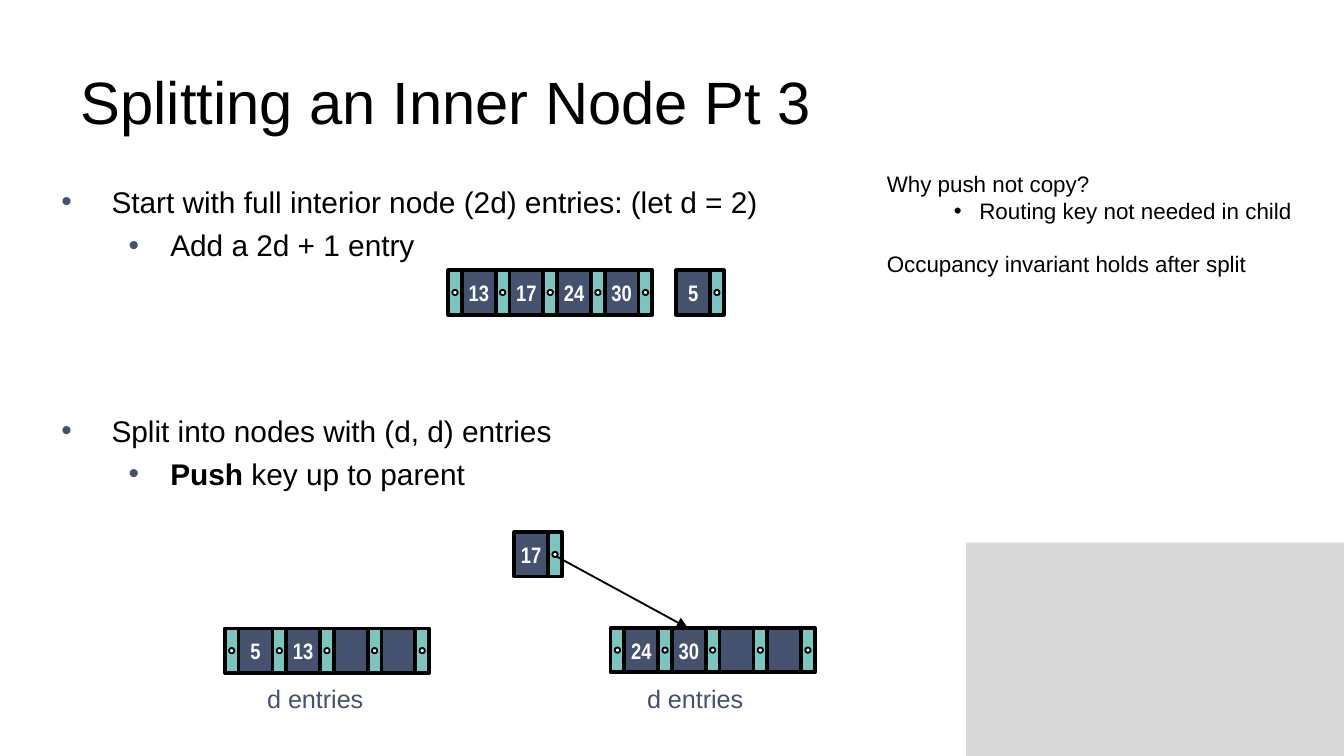
from lxml import etree
from pptx import Presentation
from pptx.dml.color import RGBColor
from pptx.enum.shapes import MSO_CONNECTOR, MSO_SHAPE
from pptx.enum.text import MSO_ANCHOR, PP_ALIGN
from pptx.oxml.ns import qn
from pptx.util import Cm, Pt

RECTANGLE, OVAL = MSO_SHAPE.RECTANGLE, MSO_SHAPE.OVAL
STRAIGHT = MSO_CONNECTOR.STRAIGHT
MIDDLE, TOP = MSO_ANCHOR.MIDDLE, MSO_ANCHOR.TOP
LEFT, CENTER = PP_ALIGN.LEFT, PP_ALIGN.CENTER

KEY_WIDTH, POINTER_WIDTH, NODE_HEIGHT, DOT = 0.64, 0.26, 0.84, 0.1


def color(hex_value):
    return RGBColor.from_string(hex_value)


def write(paragraph, text, size=16, font="Arial", fill="000000", bold=False):
    run = paragraph.add_run()
    run.text = text
    run.font.size = Pt(size)
    run.font.name = font
    run.font.bold = bold
    run.font.color.rgb = color(fill)


def add_bullet(paragraph, margin, hanging, fill):
    """Give a paragraph a bullet with a hanging indent, in cm."""
    properties = paragraph._p.get_or_add_pPr()
    properties.set("marL", str(Cm(margin)))
    properties.set("indent", str(-Cm(hanging)))
    bullet_color = etree.SubElement(properties, qn("a:buClr"))
    etree.SubElement(bullet_color, qn("a:srgbClr"), val=fill)
    etree.SubElement(properties, qn("a:buFont"), typeface="Arial")
    etree.SubElement(properties, qn("a:buChar"), char="•")


class SlideBuilder:
    navy, teal, black, white, gray = "44516F", "79C6C1", "000000", "FFFFFF", "D9D9D9"

    def __init__(self, slide):
        self.slide = slide

    def title(self, text, left, top, width, height):
        title = self.slide.shapes.title
        title.left, title.top = Cm(left), Cm(top)
        title.width, title.height = Cm(width), Cm(height)
        title.text_frame.vertical_anchor = MIDDLE
        paragraph = title.text_frame.paragraphs[0]
        paragraph.alignment = LEFT
        write(paragraph, text, size=32)

    def text_box(self, paragraphs, left, top, width, height, wrap=True, **style):
        """Each paragraph is (runs, space before, bullet); a run is (text, bold)."""
        box = self.slide.shapes.add_textbox(Cm(left), Cm(top), Cm(width), Cm(height))
        frame = box.text_frame
        frame.word_wrap = wrap
        frame.vertical_anchor = TOP
        for index, (runs, space_before, bullet) in enumerate(paragraphs):
            paragraph = frame.add_paragraph() if index else frame.paragraphs[0]
            if bullet:
                margin, hanging, fill = bullet
                paragraph.level = int(margin > 1)
                add_bullet(paragraph, margin, hanging, fill)
            paragraph.space_before = Pt(space_before)
            for text, bold in runs:
                write(paragraph, text, bold=bold, **style)

    def block(self, shapes, left, top, width, height, fill, line=2, kind=RECTANGLE):
        shape = shapes.add_shape(kind, Cm(left), Cm(top), Cm(width), Cm(height))
        shape.shadow.inherit = False
        shape.fill.solid()
        shape.fill.fore_color.rgb = color(fill)
        if line:
            shape.line.color.rgb = color(self.black)
            shape.line.width = Pt(line)
        else:
            shape.line.fill.background()
        return shape

    def pointer(self, shapes, left, top):
        self.block(shapes, left, top, POINTER_WIDTH, NODE_HEIGHT, self.teal)
        self.block(shapes, left + (POINTER_WIDTH - DOT) / 2,
                   top + (NODE_HEIGHT - DOT) / 2, DOT, DOT, self.white, 1, OVAL)

    def key(self, shapes, text, left, top):
        cell = self.block(shapes, left, top, KEY_WIDTH, NODE_HEIGHT, self.navy)
        if text:
            frame = cell.text_frame
            frame.margin_left = frame.margin_right = 0
            frame.vertical_anchor = MIDDLE
            frame.paragraphs[0].alignment = CENTER
            write(frame.paragraphs[0], text, size=12, font="Arial Narrow",
                  fill=self.white, bold=True)

    def node(self, keys, left, top, leading_pointer=True):
        """A tree node: keys, each followed by a pointer cell."""
        shapes = self.slide.shapes.add_group_shape().shapes
        if leading_pointer:
            self.pointer(shapes, left, top)
            left += POINTER_WIDTH
        for key in keys:
            self.key(shapes, key, left, top)
            self.pointer(shapes, left + KEY_WIDTH, top)
            left += KEY_WIDTH + POINTER_WIDTH

    def arrow(self, start_x, start_y, end_x, end_y):
        arrow = self.slide.shapes.add_connector(
            STRAIGHT, Cm(start_x), Cm(start_y), Cm(end_x), Cm(end_y))
        arrow.line.color.rgb = color(self.black)
        arrow.line.width = Pt(1)
        etree.SubElement(arrow.line._get_or_add_ln(), qn("a:tailEnd"), type="triangle")
        etree.SubElement(arrow._element.spPr, qn("a:effectLst"))


def main():
    presentation = Presentation()
    presentation.slide_width, presentation.slide_height = Cm(25.4), Cm(14.29)
    slide = presentation.slides.add_slide(presentation.slide_layouts[5])
    builder = SlideBuilder(slide)

    builder.block(slide.shapes, 18.26, 10.26, 7.14, 4.03, builder.gray, line=0)
    builder.title("Splitting an Inner Node Pt 3", 1.27, 0.71, 22.86, 2.39)

    step = (0.95, 0.95, builder.navy)
    detail = (2.06, 0.79, builder.navy)
    builder.text_box([
        ([("Start with full interior node (2d) entries: (let d = 2)", False)], 0, step),
        ([("Add a 2d + 1 entry", False)], 4, detail),
        ([("Split into nodes with (d, d) entries", False)], 80, step),
        ([("Push", True), (" key up to parent", False)], 4, detail),
    ], 0.91, 3.35, 22.86, 9.42)

    builder.node(["13", "17", "24", "30"], 8.47, 5.11)
    builder.node(["5"], 12.78, 5.11, leading_pointer=False)

    for label_left in (4.8, 11.98):
        builder.text_box([([("d entries", False)], 0, None)], label_left, 12.8,
                         2.36, 0.84, wrap=False, size=13.5, fill=builder.navy)

    builder.node(["5", "13", "", ""], 4.25, 11.88)
    builder.node(["24", "30", "", ""], 11.54, 11.87)
    builder.node(["17"], 9.72, 10.06, leading_pointer=False)
    builder.arrow(10.52, 10.52, 13, 11.87)

    builder.text_box([
        ([("Why push not copy?", False)], 0, None),
        ([("Routing key not needed in child", False)], 0, (1.75, 0.48, builder.black)),
        ([("Occupancy invariant holds after split", False)], 14, None),
    ], 16.51, 3.1, 8.38, 2.82, size=12)

    presentation.save("out.pptx")


if __name__ == "__main__":
    main()
